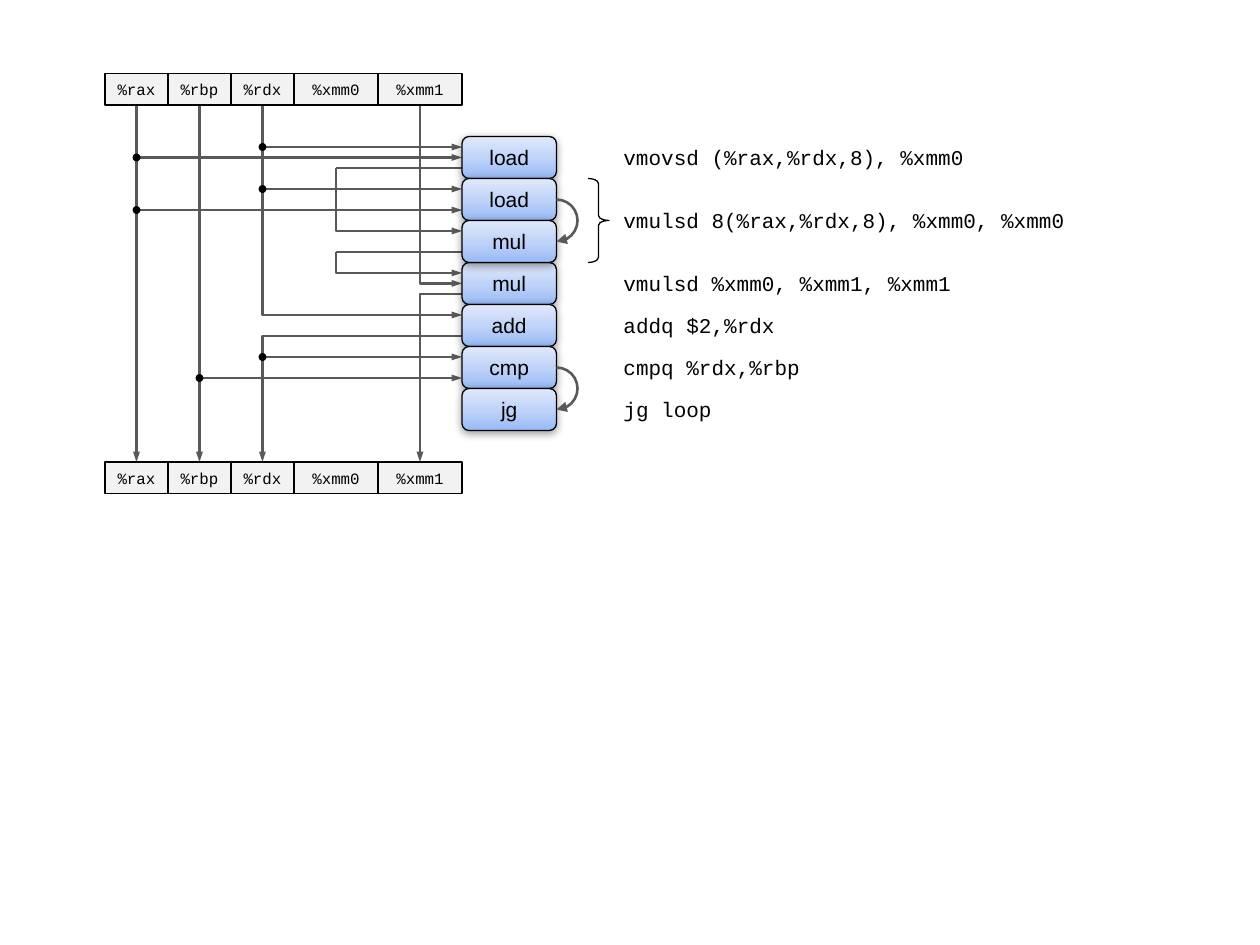
from lxml import etree
from pptx import Presentation
from pptx.dml.color import RGBColor
from pptx.enum import shapes, text
from pptx.oxml import ns
from pptx.util import Cm, Pt

# Content: every position is counted in grid units of 1/12 inch
UNIT = 2.54 / 12
REGISTERS = [("%rax", 6), ("%rbp", 6), ("%rdx", 6), ("%xmm0", 8), ("%xmm1", 8)]
REGISTER_LEFT, REGISTER_HEIGHT, REGISTER_TOPS = 10, 3, (7, 44)
# Row and name, in stacking order
OPERATIONS = [(0, "load"), (3, "mul"), (4, "add"), (5, "cmp"), (6, "jg"),
              (1, "load"), (2, "mul")]
OPERATION_LEFT, OPERATION_TOP, OPERATION_WIDTH, ROW = 44, 13, 9, 4
# Row, width and code
INSTRUCTIONS = [
    (0, 47, "vmovsd (%rax,%rdx,8), %xmm0"),
    (1.5, 47, "vmulsd 8(%rax,%rdx,8), %xmm0, %xmm0"),
    (3, 47, "vmulsd %xmm0, %xmm1, %xmm1"),
    (4, 33, "addq $2,%rdx"),
    (5, 33, "cmpq %rdx,%rbp"),
    (6, 33, "jg loop"),
]
# Register, start height, end height at the operation
INPUTS = [("%rax", 10, 15), ("%rax", 10, 20), ("%rdx", 10, 14), ("%rdx", 10, 18),
          ("%rdx", 18, 30), ("%rdx", 32, 34), ("%rbp", 36, 36),
          ("%xmm0", 16, 22), ("%xmm0", 24, 26), ("%xmm1", 10, 27)]
PASSED = ["%rax", "%rbp"]
OUTPUTS = [("%rdx", 32), ("%xmm1", 28)]
TEMPORARIES = [("%xmm0", 16), ("%xmm0", 24)]
JUNCTIONS = [("%rdx", 14), ("%rax", 15), ("%rdx", 18), ("%rax", 20),
             ("%rdx", 34), ("%rbp", 36)]
ARC_TOPS = [19, 35]

BLACK, WIRE, PALE = "000000", "595959", "F2F2F2"
GRADIENT = [(0, "98BAF6"), (50000, "C0D3F8"), (100000, "E0E9FB")]
KIND = shapes.MSO_SHAPE


def color(value):
    return RGBColor.from_string(value)


def grid(*values):
    return [Cm(value * UNIT) for value in values]


def child(parent, tag, **attributes):
    return etree.SubElement(parent, ns.qn(tag),
                            {name: str(value) for name, value in attributes.items()})


def set_line(line, value, width):
    line.color.rgb = color(value)
    line.width = Pt(width)


def add_arrowhead(line_element, width):
    child(line_element, "a:tailEnd", type="triangle", w=width, len="med")


def add_shape(kind, left, top, width, height, fill=None, line=None, adjust=()):
    shape = slide.shapes.add_shape(kind, *grid(left, top, width, height))
    shape.shadow.inherit = False
    if fill:
        shape.fill.solid()
        shape.fill.fore_color.rgb = color(fill)
    else:
        shape.fill.background()
    if line:
        set_line(shape.line, *line)
    else:
        shape.line.fill.background()
    for index, value in enumerate(adjust):
        shape.adjustments[index] = value
    return shape


def write(shape, words, size, font, align):
    frame = shape.text_frame
    frame_format = {"word_wrap": False, "vertical_anchor": text.MSO_ANCHOR.MIDDLE}
    for name, value in frame_format.items():
        setattr(frame, name, value)
    paragraph = frame.paragraphs[0]
    paragraph.alignment = align
    run = paragraph.add_run()
    run.text = words
    for name, value in {"size": Pt(size), "name": font}.items():
        setattr(run.font, name, value)
    run.font.color.rgb = color(BLACK)


def add_wire(start, end, geometry="line", arrow=True):
    wire = slide.shapes.add_connector(shapes.MSO_CONNECTOR.STRAIGHT,
                                      *grid(*start, *end))
    set_line(wire.line, WIRE, 1.5)
    properties = wire._element.spPr
    preset = properties.find(ns.qn("a:prstGeom"))
    preset.set("prst", geometry)
    if geometry == "bentConnector3":  # turn down at the very start
        child(preset.find(ns.qn("a:avLst")), "a:gd", name="adj1", fmla="val 0")
    if arrow:
        add_arrowhead(properties.find(ns.qn("a:ln")), "sm")
    child(properties, "a:effectLst")


def style_operation(shape):
    shape.fill.gradient()
    shape.fill.gradient_angle = 90
    properties = shape._element.spPr
    stops = properties.find(".//" + ns.qn("a:gsLst"))
    for stop in list(stops):
        stops.remove(stop)
    for position, value in GRADIENT:
        child(child(stops, "a:gs", pos=position), "a:srgbClr", val=value)
    shadow = child(properties.find(ns.qn("a:effectLst")), "a:outerShdw",
                   blurRad=Pt(5), dist=Pt(1.6), dir=5400000, rotWithShape=0)
    child(child(shadow, "a:srgbClr", val=BLACK), "a:alpha", val=38000)


presentation = Presentation()
presentation.slide_width, presentation.slide_height = Cm(25.4), Cm(19.05)
slide = presentation.slides.add_slide(presentation.slide_layouts[6])

# Register columns
columns, left = {}, REGISTER_LEFT
for name, width in REGISTERS:
    columns[name] = (left, width, left + width / 2)
    left += width
center = {name: column[2] for name, column in columns.items()}

# Wires
for name, top, bottom in INPUTS:
    add_wire((center[name], top), (OPERATION_LEFT, bottom),
             "line" if top == bottom else "bentConnector3")
for name in PASSED:
    add_wire((center[name], 10), (center[name], 44))
for name, top in OUTPUTS:
    add_wire((OPERATION_LEFT, top), (center[name], 44), "bentConnector2")
for name, top in TEMPORARIES:
    add_wire((center[name], top), (OPERATION_LEFT, top), arrow=False)

# Register rows
for top in REGISTER_TOPS:
    for name, (left, width, _) in columns.items():
        box = add_shape(KIND.RECTANGLE, left, top, width, REGISTER_HEIGHT,
                        PALE, (BLACK, 1))
        write(box, name, 9, "Courier New", text.PP_ALIGN.CENTER)

# Operations
for row, name in OPERATIONS:
    box = add_shape(KIND.ROUNDED_RECTANGLE, OPERATION_LEFT, OPERATION_TOP + row * ROW,
                    OPERATION_WIDTH, ROW, line=(BLACK, 0.75), adjust=[0.17])
    style_operation(box)
    write(box, name, 12, "Arial", text.PP_ALIGN.CENTER)

# Instructions and the brace that joins two operations
for row, width, code in INSTRUCTIONS:
    box = add_shape(KIND.ROUNDED_RECTANGLE, 58, OPERATION_TOP + row * ROW, width, ROW)
    write(box, code, 12, "Courier New", text.PP_ALIGN.LEFT)
add_shape(KIND.RIGHT_BRACE, 56, 17, 2, 8, line=(BLACK, 0.75), adjust=[0.24, 0.5])

# Junction dots
DOT = 0.75
for name, middle in JUNCTIONS:
    add_shape(KIND.OVAL, center[name] - DOT / 2, middle - DOT / 2, DOT, DOT, BLACK)

# Arcs between neighbouring operations
for top in ARC_TOPS:
    arc = add_shape(KIND.ARC, 51, top, 4, 4, line=(WIRE, 1.5), adjust=[162, 54])
    add_arrowhead(arc._element.spPr.find(ns.qn("a:ln")), "med")

presentation.save("out.pptx")
